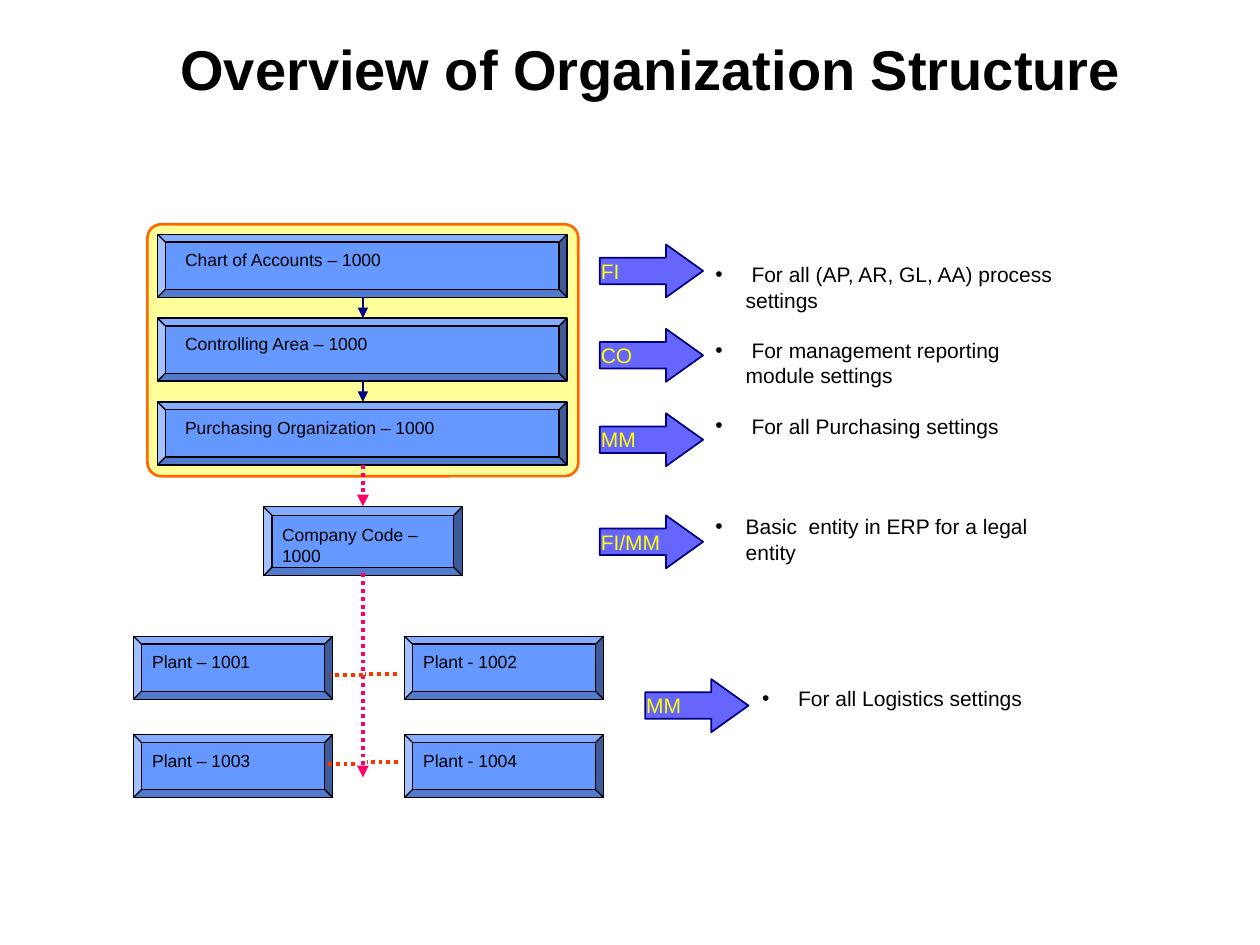
import pptx
import pptx.util
import pptx.dml.color
import pptx.enum.dml
import pptx.enum.shapes
import pptx.enum.text
import pptx.oxml
import pptx.oxml.ns

Inches = pptx.util.Inches
Pt = pptx.util.Pt
SHAPE = pptx.enum.shapes.MSO_SHAPE
DOTS = pptx.enum.dml.MSO_LINE.ROUND_DOT
ALIGN = pptx.enum.text.PP_ALIGN
ANCHOR = pptx.enum.text.MSO_ANCHOR

TITLE = {"size": Pt(32), "bold": True}
LABEL = {"size": Pt(10)}
BODY = {"size": Pt(12)}
NAVY, PINK, RED = "000080", "FF0066", "FF3300"


def color(code):
    return pptx.dml.color.RGBColor.from_string(code)


def tag(parent, name, **attrs):
    node = pptx.oxml.ns.qn(name)
    item = parent.makeelement(node, attrs)
    parent.append(item)
    return item


def style(para, look, code="000000"):
    for key, value in {"name": "Arial", **look}.items():
        setattr(para.font, key, value)
    para.font.color.rgb = color(code)


def text(slide, box, words, look, code="000000"):
    frame = slide.shapes.add_textbox(*map(Inches, box)).text_frame
    frame.word_wrap = True
    para = frame.paragraphs[0]
    para.text = words
    style(para, look, code)
    return frame


def shape(slide, kind, box, fill, edge, width, adjust):
    item = slide.shapes.add_shape(kind, *map(Inches, box))
    item.shadow.inherit = False
    item.fill.solid()
    item.fill.fore_color.rgb = color(fill)
    item.line.color.rgb = color(edge)
    item.line.width = Pt(width)
    for index, value in enumerate(adjust):
        item.adjustments[index] = value


def line(slide, start, end, code, width=2.25, dash=DOTS, arrow=True):
    item = slide.shapes.add_connector(
        pptx.enum.shapes.MSO_CONNECTOR.STRAIGHT, *map(Inches, start + end))
    item.line.color.rgb = color(code)
    item.line.width = Pt(width)
    if dash:
        item.line.dash_style = dash
    if arrow:
        tag(item.line._get_or_add_ln(), "a:tailEnd", type="triangle")
    tag(item._element.spPr, "a:effectLst")


def block(slide, box, words, dx=0.05, dy=0.07):
    """Bevelled box with its label inset by dx and dy."""
    left, top, width, height = box
    shape(slide, SHAPE.BEVEL, box, "6699FF", "000000", 0.75, [0.125])
    text(slide, (left + dx, top + dy, width - 2 * dx, height - 2 * dy),
         words, LABEL)


def module(slide, left, top, words):
    """Arrow that names the module in charge."""
    shape(slide, SHAPE.RIGHT_ARROW, (left, top, 0.82, 0.42),
          "6666FF", NAVY, 1, [0.5, 0.701])
    text(slide, (left - 0.09, top + 0.06, 0.82, 0.3), words, BODY, "FFFF00")


def notes(slide, box, items):
    """Bulleted list of (words, blank lines above) pairs."""
    leading = 14.4
    frame = text(slide, box, "", BODY)
    for index, (words, gap) in enumerate(items):
        para = frame.add_paragraph() if index else frame.paragraphs[0]
        para.text = words
        para.line_spacing = Pt(leading)
        para.space_before = Pt(gap * leading)
        props = para._p.get_or_add_pPr()
        props.set("marL", str(Inches(0.24)))
        props.set("indent", str(-Inches(0.24)))
        for old in props.findall(pptx.oxml.ns.qn("a:defRPr")):
            props.remove(old)
        tag(props, "a:buFont", typeface="Arial")
        tag(props, "a:buChar", char="•")
        style(para, BODY)


def title(slide, box, words):
    frame = text(slide, box, words, TITLE)
    sides = ("margin_left", "margin_top", "margin_right", "margin_bottom")
    for side in sides:
        setattr(frame, side, 0)
    frame.vertical_anchor = ANCHOR.MIDDLE
    frame.paragraphs[0].alignment = ALIGN.CENTER


def group(slide, box, names):
    """Framed stack of the enterprise-wide units."""
    left, top, width, height = box
    step, tall, axis = 0.665, 0.5, left + width / 2
    shape(slide, SHAPE.ROUNDED_RECTANGLE, box, "FFFF99", "FF6600", 1.5, [0.055])
    for index, name in enumerate(names):
        y = top + 0.08 + index * step
        block(slide, (left + 0.08, y, width - 0.17, tall), name, 0.12)
        if index:
            line(slide, (axis, y + tall - step), (axis, y), NAVY, 1, None)


def plants(slide, left, top, rows):
    for index, names in enumerate(rows):
        for column, name in enumerate(names):
            block(slide, (left + column * 2.15, top + index * 0.78, 1.58, 0.5),
                  name)


def links(slide, pairs):
    for start, end, y in pairs:
        line(slide, (start, y), (end, y), RED, arrow=False)


def main():
    deck = pptx.Presentation()
    deck.slide_width, deck.slide_height = Inches(10), Inches(7.5)
    slide = deck.slides.add_slide(deck.slide_layouts[6])
    axis = 2.88

    title(slide, (0.39, 0.25, 9.55, 0.58), "Overview of Organization Structure")
    group(slide, (1.17, 1.78, 3.42, 2), [
        "Chart of Accounts – 1000",
        "Controlling Area – 1000",
        "Purchasing Organization – 1000"])
    line(slide, (axis, 3.69), (axis, 4.02), PINK)
    block(slide, (2.09, 4.02, 1.58, 0.55), "Company Code – 1000", dy=0.09)
    plants(slide, 1.06, 5.05, [("Plant – 1001", "Plant - 1002"),
                               ("Plant – 1003", "Plant - 1004")])
    line(slide, (axis, 4.55), (axis, 6.17), PINK)
    links(slide, [(2.88, 2.63, 5.36), (3.15, 2.9, 5.35),
                  (3.16, 2.91, 6.05), (2.82, 2.58, 6.06)])

    for top, name in ((1.94, "FI"), (2.61, "CO"), (3.28, "MM"), (4.09, "FI/MM")):
        module(slide, 4.76, top, name)
    notes(slide, (5.58, 2.03, 2.92, 3.1), [
        (" For all (AP, AR, GL, AA) process settings", 0),
        (" For management reporting module settings", 1),
        (" For all Purchasing settings", 1),
        ("Basic  entity in ERP for a legal entity", 3)])
    module(slide, 5.12, 5.39, "MM")
    notes(slide, (5.95, 5.39, 2.55, 2.1), [(" For all Logistics settings", 0)])

    deck.save("out.pptx")


if __name__ == "__main__":
    main()
